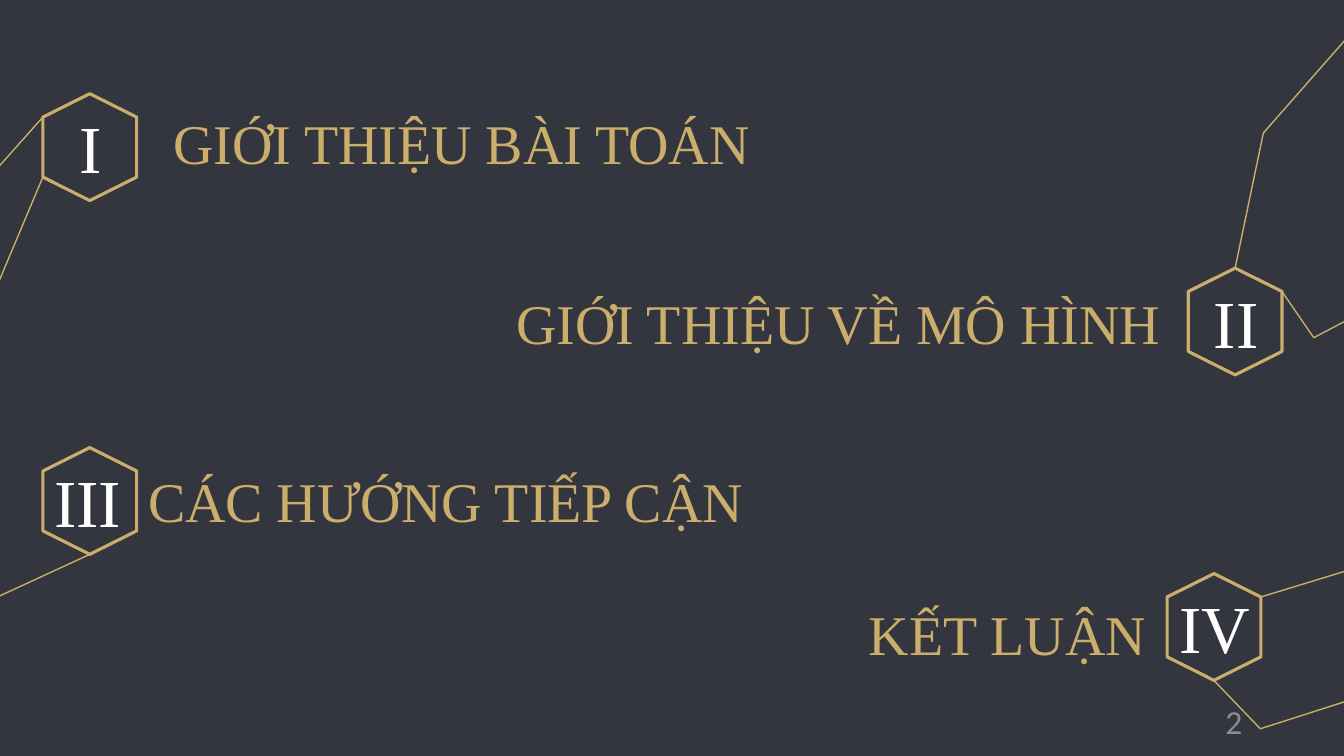
from dataclasses import dataclass
from itertools import pairwise

from lxml import etree
from pptx import Presentation
from pptx import util as u
from pptx.dml.color import RGBColor
from pptx.enum import shapes, text
from pptx.oxml.ns import qn

# Each section: title, its box (left, top, width) and alignment; numeral, its box;
# hexagon centre; threads as (hexagon corner, further points).
SECTIONS = [
    dict(title="GIỚI THIỆU BÀI TOÁN", title_box=(1.62, 1.03, 7.58), align="left",
         numeral="I", numeral_box=(0.69, 1.01, 0.38), centre=(0.89, 1.46),
         threads=[("lower left", [(-1.1, 5.38)]),
                  ("upper left", [(-2.03, 3.92)])]),
    dict(title="GIỚI THIỆU VỀ MÔ HÌNH", title_box=(5.02, 2.81, 10.14), align="left",
         numeral="II", numeral_box=(11.94, 2.74, 0.93), centre=(12.25, 3.19),
         threads=[("top", [(12.53, 1.32), (13.69, 0)]),
                  ("upper right", [(13.03, 3.35), (14.19, 2.74)])]),
    dict(title="CÁC HƯỚNG TIẾP CẬN", title_box=(0.42, 4.58, 7.05), align="right",
         numeral="III", numeral_box=(0.44, 4.52, 0.93), centre=(0.89, 4.97),
         threads=[("bottom", [(-1.82, 6.75)])]),
    dict(title="KẾT LUẬN", title_box=(8.52, 5.9, 10.14), align="left",
         numeral="IV", numeral_box=(11.6, 5.77, 0.93), centre=(12.04, 6.22),
         threads=[("upper right", [(15.98, 4.86)]),
                  ("bottom", [(12.5, 7.23), (15.93, 6.13)])]),
]
PAGE_NUMBER = "2"


@dataclass(frozen=True)
class Theme:
    background: str = "33363E"
    gold: str = "CBAD6C"
    white: str = "FFFFFF"
    grey: str = "8C8C8C"
    serif: str = "Times New Roman"
    sans: str = "Calibri"
    title_size: int = 40
    numeral_size: int = 48
    page_size: int = 24
    hexagon_line: float = 2.25
    thread_line: float = 1


THEME = Theme()
SLIDE_W, SLIDE_H = 13.33, 7.5
HEX_LENGTH, HEX_BREADTH = 1.06, 0.93
TITLE_H, NUMERAL_H = 0.77, 0.91
ALIGN = {"left": text.PP_ALIGN.LEFT, "right": text.PP_ALIGN.RIGHT}
# Corners as shares of the hexagon's breadth and length, from its centre
SHOULDER = 0.5 - 0.25 * HEX_BREADTH / HEX_LENGTH
CORNERS = {
    "top": (0, -0.5), "bottom": (0, 0.5),
    "upper left": (-0.5, -SHOULDER), "lower left": (-0.5, SHOULDER),
    "upper right": (0.5, -SHOULDER),
}


def inches(*lengths):
    return [u.Inches(length) for length in lengths]


def add_text(parent, content, box, *, size, color, font=THEME.serif,
             align="left", middle=False):
    area = parent.shapes.add_textbox(*inches(*box))
    frame = area.text_frame
    frame.word_wrap = True
    if middle:
        frame.vertical_anchor = text.MSO_ANCHOR.MIDDLE
    else:
        frame.auto_size = text.MSO_AUTO_SIZE.SHAPE_TO_FIT_TEXT
    paragraph = frame.paragraphs[0]
    paragraph.alignment = ALIGN[align]
    run = paragraph.add_run()
    run.text = content
    run.font.size = u.Pt(size)
    run.font.name = font
    run.font.color.rgb = RGBColor.from_string(color)


def style_line(line, width):
    line.color.rgb = RGBColor.from_string(THEME.gold)
    line.width = u.Pt(width)


def add_badge(slide, section):
    """Group a numeral with its upright hexagon."""
    badge = slide.shapes.add_group_shape()
    add_text(badge, section["numeral"], (*section["numeral_box"], NUMERAL_H),
             size=THEME.numeral_size, color=THEME.white)
    x, y = section["centre"]
    hexagon = badge.shapes.add_shape(
        shapes.MSO_SHAPE.HEXAGON,
        *inches(x - HEX_LENGTH / 2, y - HEX_BREADTH / 2, HEX_LENGTH, HEX_BREADTH))
    hexagon.rotation = 90
    hexagon.shadow.inherit = False
    hexagon.fill.background()
    style_line(hexagon.line, THEME.hexagon_line)


def add_thread(slide, centre, corner, points):
    """Run a thin line from a hexagon corner through the given points."""
    across, down = CORNERS[corner]
    start = (centre[0] + across * HEX_BREADTH, centre[1] + down * HEX_LENGTH)
    for begin, end in pairwise([start, *points]):
        thread = slide.shapes.add_connector(
            shapes.MSO_CONNECTOR.STRAIGHT, *inches(*begin, *end))
        style_line(thread.line, THEME.thread_line)
        etree.SubElement(thread._element.spPr, qn("a:effectLst"))


def main():
    deck = Presentation()
    deck.slide_width, deck.slide_height = inches(SLIDE_W, SLIDE_H)
    slide = deck.slides.add_slide(deck.slide_layouts[6])
    slide.background.fill.solid()
    slide.background.fill.fore_color.rgb = RGBColor.from_string(THEME.background)

    for section in SECTIONS:
        add_text(slide, section["title"], (*section["title_box"], TITLE_H),
                 size=THEME.title_size, color=THEME.gold, align=section["align"])
        add_badge(slide, section)
        for corner, points in section["threads"]:
            add_thread(slide, section["centre"], corner, points)

    add_text(slide, PAGE_NUMBER, (9.42, 6.95, 3, 0.4), size=THEME.page_size,
             color=THEME.grey, font=THEME.sans, align="right", middle=True)
    deck.save("out.pptx")


if __name__ == "__main__":
    main()
